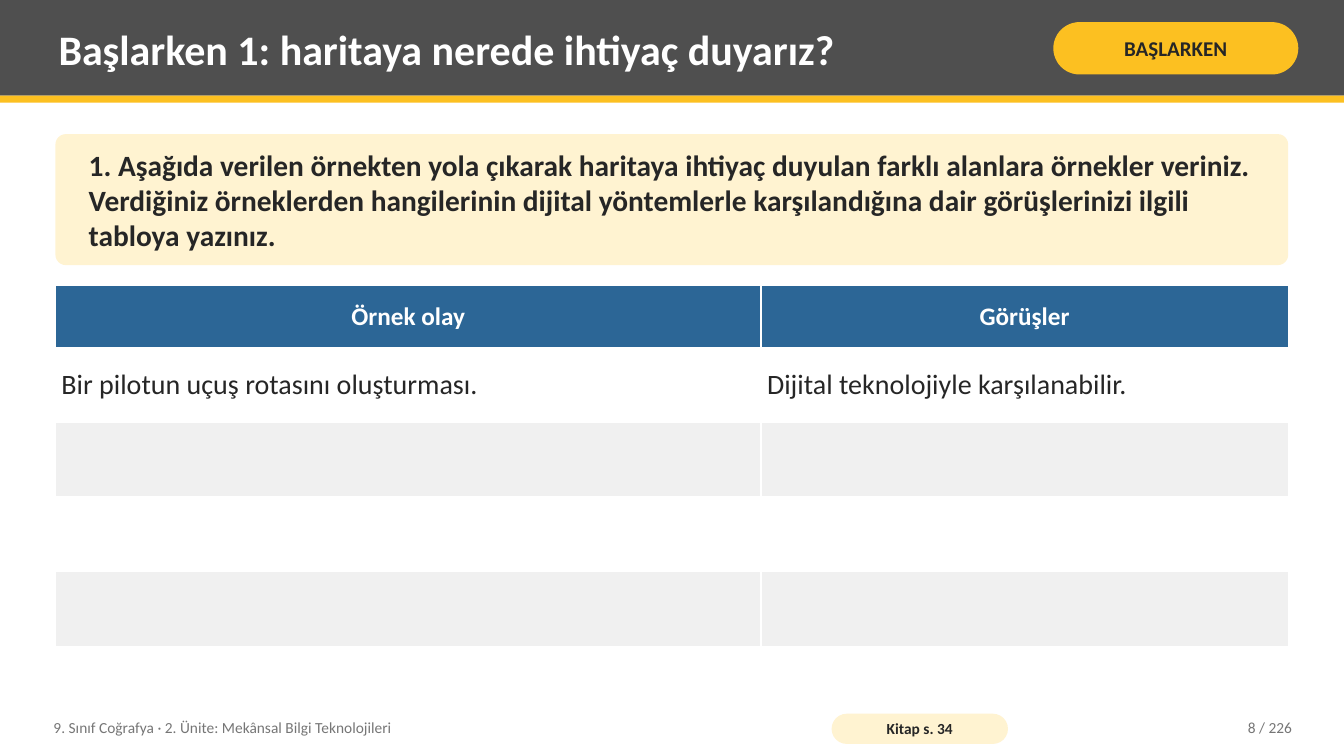
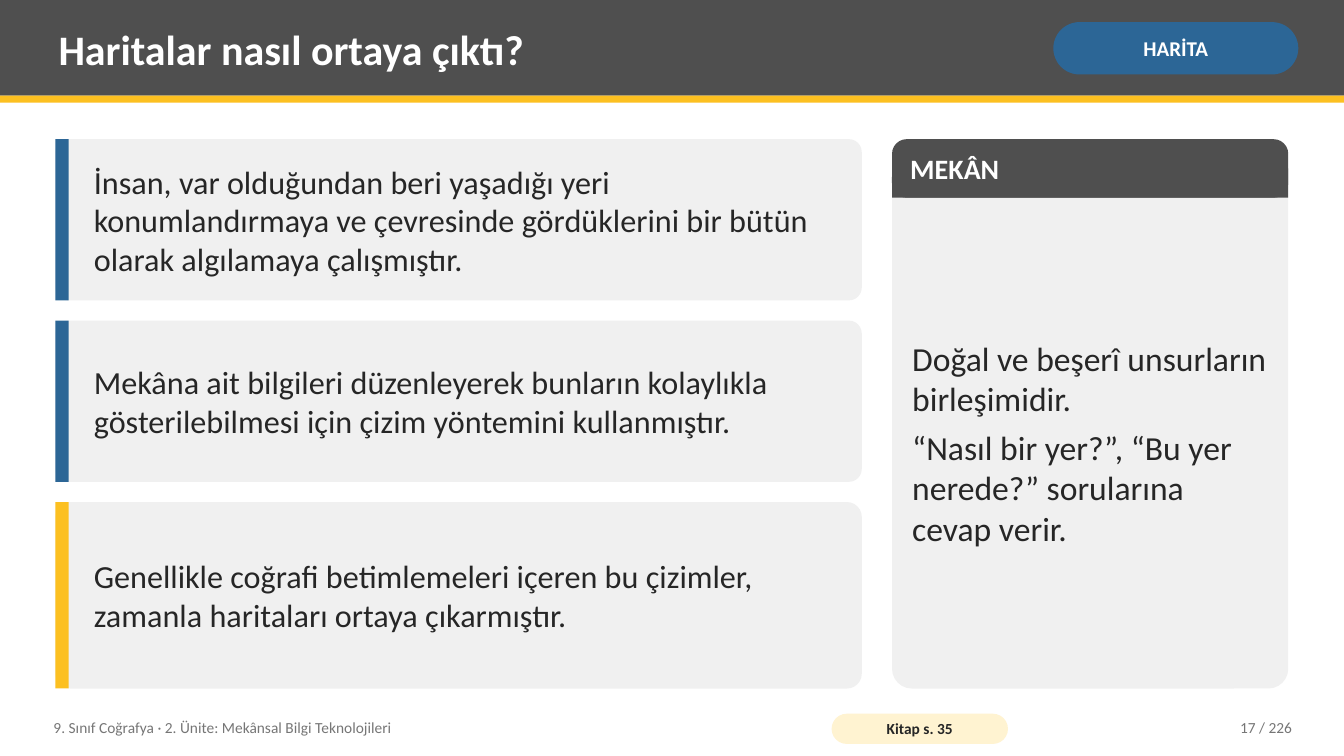
from dataclasses import dataclass
from typing import NamedTuple

from lxml.etree import SubElement
from pptx import Presentation
from pptx.dml.color import RGBColor
from pptx.enum.shapes import MSO_SHAPE
from pptx.enum.text import MSO_ANCHOR, MSO_AUTO_SIZE, PP_ALIGN
from pptx.oxml.ns import qn
from pptx.shapes.autoshape import Shape
from pptx.slide import Slide
from pptx.table import _Cell
from pptx.text.text import TextFrame
from pptx.util import Pt

FONT = "Calibri"
GRAY = RGBColor(0x4F, 0x4F, 0x4F)
YELLOW = RGBColor(0xFC, 0xC0, 0x21)
BLUE = RGBColor(0x2C, 0x66, 0x96)
CREAM = RGBColor(0xFF, 0xF3, 0xD1)
LIGHT = RGBColor(0xF0, 0xF0, 0xF0)
WHITE = RGBColor(0xFF, 0xFF, 0xFF)
INK = RGBColor(0x26, 0x26, 0x26)
MUTED = RGBColor(0x76, 0x76, 0x76)

SLIDE_WIDTH, SLIDE_HEIGHT = 960, 540
LEFT = 39.6
CONTENT_WIDTH = 880.6
HEADER_HEIGHT = 68.4
CARDS_TOP = 99.4
CARD_GAP = 14.4
CARD_WIDTH = 576
PAGE_COUNT = 226
UNIT = "9. Sınıf Coğrafya · 2. Ünite: Mekânsal Bilgi Teknolojileri"


class Box(NamedTuple):
    """Position and size in points."""
    left: float
    top: float
    width: float
    height: float

    def lengths(self) -> list[Pt]:
        return [Pt(value) for value in self]


@dataclass
class Page:
    title: str
    tag: str
    tag_fill: RGBColor
    tag_color: RGBColor
    book_page: int
    number: int


@dataclass
class Card:
    text: str
    height: float
    accent: RGBColor


def write(frame: TextFrame, *lines: str, size: float, color: RGBColor = INK,
          bold: bool = False, align: PP_ALIGN = PP_ALIGN.LEFT,
          gap: float = 0, bullets: bool = True) -> None:
    """Fill a frame with one paragraph per line, with a gap between them."""
    for index, line in enumerate(lines):
        paragraph = frame.add_paragraph() if index else frame.paragraphs[0]
        if not bullets:
            properties = paragraph._p.get_or_add_pPr()
            properties.set("marL", "0")
            properties.set("indent", "0")
            SubElement(properties, qn("a:buNone"))
        paragraph.text = line
        paragraph.alignment = align
        paragraph.space_before = Pt(gap if index else 0)
        paragraph.font.name = FONT
        paragraph.font.size = Pt(size)
        paragraph.font.bold = bold
        paragraph.font.color.rgb = color


def set_frame(frame: TextFrame, side: float = 5.8, edge: float = 2.9) -> TextFrame:
    frame.word_wrap = True
    frame.auto_size = MSO_AUTO_SIZE.NONE
    frame.vertical_anchor = MSO_ANCHOR.MIDDLE
    frame.margin_left = frame.margin_right = Pt(side)
    frame.margin_top = frame.margin_bottom = Pt(edge)
    return frame


def add_box(slide: Slide, box: Box, fill: RGBColor, rounding: float = 0) -> Shape:
    kind = MSO_SHAPE.ROUNDED_RECTANGLE if rounding else MSO_SHAPE.RECTANGLE
    shape = slide.shapes.add_shape(kind, *box.lengths())
    if rounding:
        shape.adjustments[0] = rounding
    shape.shadow.inherit = False
    shape.fill.solid()
    shape.fill.fore_color.rgb = fill
    shape.line.fill.background()
    return shape


def add_text(slide: Slide, box: Box) -> TextFrame:
    return set_frame(slide.shapes.add_textbox(*box.lengths()).text_frame)


def place_placeholder(slide: Slide, placeholder: Shape, box: Box) -> TextFrame:
    """Move a placeholder to its box, in front of what is drawn so far."""
    slide.shapes._spTree.append(placeholder._element)
    placeholder.left, placeholder.top, placeholder.width, placeholder.height = box.lengths()
    return set_frame(placeholder.text_frame)


def add_page(presentation: Presentation, layout_name: str, page: Page) -> Slide:
    """Add a slide with its header band, title and tag."""
    layout = presentation.slide_layouts.get_by_name(layout_name)
    slide = presentation.slides.add_slide(layout)
    add_box(slide, Box(0, 0, SLIDE_WIDTH, HEADER_HEIGHT), GRAY)
    add_box(slide, Box(0, HEADER_HEIGHT, SLIDE_WIDTH, 5), YELLOW)
    title = place_placeholder(slide, slide.shapes.title, Box(36, 5, 702, 59))
    write(title, page.title, size=30, color=WHITE, bold=True)
    tag = add_box(slide, Box(752.4, 15.8, 175, 37.4), page.tag_fill, 0.5)
    write(set_frame(tag.text_frame, 3.6, 1.4), page.tag, size=15,
          color=page.tag_color, bold=True, align=PP_ALIGN.CENTER)
    return slide


def add_footer(slide: Slide, page: Page) -> None:
    """Add the footer; call it last, as it lies in front of the content."""
    write(add_text(slide, Box(32.4, 506.9, 547.2, 25.9)), UNIT, size=11, color=MUTED)
    book = add_box(slide, Box(594, 509.8, 126, 21.6), CREAM, 0.5)
    write(set_frame(book.text_frame, 2.9, 0), f"Kitap s. {page.book_page}",
          size=11, bold=True, align=PP_ALIGN.CENTER)
    write(add_text(slide, Box(813.6, 506.9, 115.2, 25.9)),
          f"{page.number} / {PAGE_COUNT}", size=11, color=MUTED, align=PP_ALIGN.RIGHT)


def style_cell(cell: _Cell, fill: RGBColor) -> None:
    """Set margins, white borders and fill of a table cell."""
    cell.vertical_anchor = MSO_ANCHOR.MIDDLE
    cell.margin_left = cell.margin_right = Pt(4.3)
    cell.margin_top = cell.margin_bottom = Pt(3.6)
    properties = cell._tc.get_or_add_tcPr()
    for side in ("a:lnL", "a:lnR", "a:lnT", "a:lnB"):
        line = SubElement(properties, qn(side), w=str(Pt(0.96)))
        color = SubElement(SubElement(line, qn("a:solidFill")), qn("a:srgbClr"))
        color.set("val", str(WHITE))
    cell.fill.solid()
    cell.fill.fore_color.rgb = fill


def add_opinion_table(slide: Slide) -> None:
    header = ("Örnek olay", "Görüşler")
    example = ("Bir pilotun uçuş rotasını oluşturması.",
               "Dijital teknolojiyle karşılanabilir.")
    rows = [header, example] + [("", "")] * 4
    widths = (504, CONTENT_WIDTH - 504)
    heights = [44.6] + [53.3] * (len(rows) - 1)
    box = Box(LEFT, 203.8, CONTENT_WIDTH, sum(heights))
    table = slide.shapes.add_table(len(rows), len(header), *box.lengths()).table
    for column, width in zip(table.columns, widths):
        column.width = Pt(width)
    for index, (texts, height) in enumerate(zip(rows, heights)):
        table.rows[index].height = Pt(height)
        is_header = index == 0
        fill = BLUE if is_header else WHITE if index % 2 else LIGHT
        for column, text in enumerate(texts):
            cell = table.cell(index, column)
            style_cell(cell, fill)
            if is_header:
                write(cell.text_frame, text, size=18, color=WHITE, bold=True,
                      align=PP_ALIGN.CENTER)
            elif text:
                write(cell.text_frame, text, size=20)


def add_card(slide: Slide, card: Card, top: float) -> None:
    add_box(slide, Box(LEFT, top, CARD_WIDTH, card.height), LIGHT, 0.08)
    add_box(slide, Box(LEFT, top, 9.4, card.height), card.accent)
    write(add_text(slide, Box(61.2, top, 543.6, card.height)), card.text, size=23)


def add_place_panel(slide: Slide, height: float) -> None:
    left, width, header_height = 637.2, 283, 41.8
    add_box(slide, Box(left, CARDS_TOP, width, height), LIGHT, 0.05)
    add_box(slide, Box(left, CARDS_TOP, width, header_height), GRAY, 0.25)
    add_box(slide, Box(left, CARDS_TOP + header_height / 2, width, header_height / 2), GRAY)
    heading = add_text(slide, Box(left + 7.2, CARDS_TOP, width - 14.4, header_height))
    write(heading, "MEKÂN", size=20, color=WHITE, bold=True)
    body_box = Box(left + 8.6, CARDS_TOP + 47.5, width - 17.3, height - 53.3)
    body = place_placeholder(slide, slide.placeholders[1], body_box)
    write(body, "Doğal ve beşerî unsurların birleşimidir.",
          "“Nasıl bir yer?”, “Bu yer nerede?” sorularına cevap verir.",
          size=24, gap=6, bullets=False)


def build_starter(presentation: Presentation) -> None:
    page = Page("Başlarken 1: haritaya nerede ihtiyaç duyarız?", "BAŞLARKEN",
                YELLOW, INK, 34, 8)
    slide = add_page(presentation, "Title Only", page)
    question = add_box(slide, Box(LEFT, 95.8, CONTENT_WIDTH, 93.6), CREAM, 0.08)
    write(set_frame(question.text_frame, 21.6, 5.8),
          "1. Aşağıda verilen örnekten yola çıkarak haritaya ihtiyaç duyulan farklı "
          "alanlara örnekler veriniz. Verdiğiniz örneklerden hangilerinin dijital "
          "yöntemlerle karşılandığına dair görüşlerinizi ilgili tabloya yazınız.",
          size=21, bold=True)
    add_opinion_table(slide)
    add_footer(slide, page)


def build_map_origins(presentation: Presentation) -> None:
    page = Page("Haritalar nasıl ortaya çıktı?", "HARİTA", BLUE, WHITE, 35, 17)
    slide = add_page(presentation, "Title and Content", page)
    cards = [
        Card("İnsan, var olduğundan beri yaşadığı yeri konumlandırmaya ve çevresinde "
             "gördüklerini bir bütün olarak algılamaya çalışmıştır.", 115.2, BLUE),
        Card("Mekâna ait bilgileri düzenleyerek bunların kolaylıkla gösterilebilmesi "
             "için çizim yöntemini kullanmıştır.", 115.2, BLUE),
        Card("Genellikle coğrafi betimlemeleri içeren bu çizimler, zamanla haritaları "
             "ortaya çıkarmıştır.", 133.2, YELLOW),
    ]
    top = CARDS_TOP
    for card in cards:
        add_card(slide, card, top)
        top += card.height + CARD_GAP
    add_place_panel(slide, top - CARD_GAP - CARDS_TOP)
    add_footer(slide, page)


def main() -> None:
    presentation = Presentation()
    presentation.slide_width = Pt(SLIDE_WIDTH)
    presentation.slide_height = Pt(SLIDE_HEIGHT)
    build_starter(presentation)
    build_map_origins(presentation)
    presentation.save("out.pptx")


if __name__ == "__main__":
    main()
